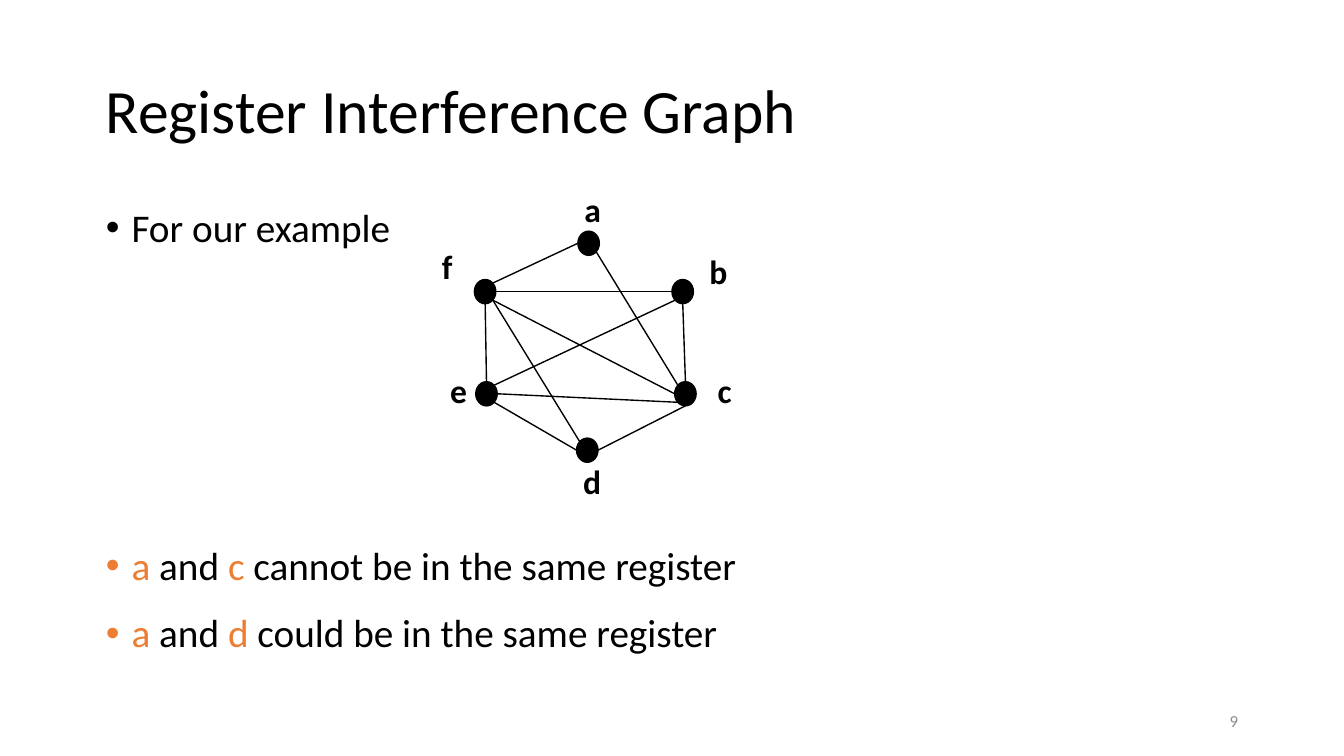
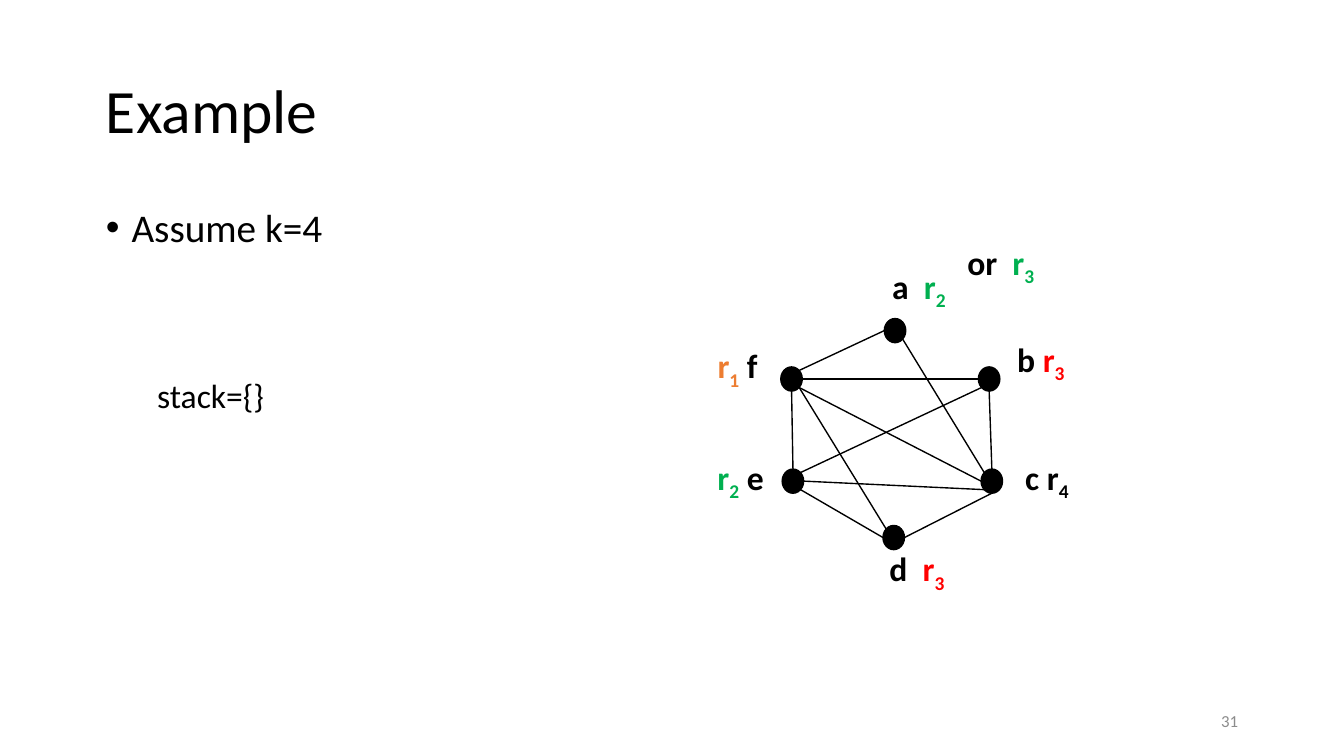
from math import cos, sin, radians

from lxml import etree
from pptx import Presentation
from pptx.dml.color import RGBColor
from pptx.enum.shapes import MSO_CONNECTOR as CONN, MSO_SHAPE as SHAPE
from pptx.enum.text import MSO_ANCHOR as ANCHOR, PP_ALIGN as ALIGN
from pptx.oxml.ns import qn
from pptx.util import Inches, Pt

FONT = "Calibri"
SLIDE_W = 10
SLIDE_H = SLIDE_W * 9 / 16
COLORS = {
    "black": "000000",
    "gray": "8C8C8C",
    "orange": "ED7D31",
    "green": "00B050",
    "red": "FF0000",
}

NODE_W, NODE_H = 0.16, 0.18
NODES = {
    "a": (4.30, 1.72),
    "b": (5.00, 2.08),
    "c": (5.02, 2.84),
    "d": (4.29, 3.26),
    "e": (3.54, 2.84),
    "f": (3.53, 2.08),
}
ANGLES = {"E": 0, "SE": 45, "S": 90, "SW": 135, "W": 180, "NW": 225, "N": 270, "NE": 315}
EDGES = [
    ("a", "W", "f", "NE"),
    ("e", "N", "f", "S"),
    ("d", "NW", "f", "SE"),
    ("d", "W", "e", "SE"),
    ("a", "SE", "c", "NW"),
    ("b", "W", "f", "E"),
    ("c", "W", "f", "SE"),
    ("b", "S", "c", "N"),
    ("c", "SW", "e", "E"),
    ("c", "S", "d", "E"),
    ("b", "SW", "e", "NE"),
]
WIDE_SPACE = (" ", "black", {"spc": "400"})


def rgb(name):
    return RGBColor.from_string(COLORS[name])


def register(number, color):
    return [("r", color), (str(number), color, {"baseline": "-25000"})]


def add_runs(p, runs, size, bold=False):
    for text, color, *extra in runs:
        r = p.add_run()
        r.text = text
        r.font.name = FONT
        r.font.size = Pt(size)
        r.font.bold = bold
        r.font.color.rgb = rgb(color)
        for attrs in extra:
            for key, value in attrs.items():
                r.font._element.set(key, value)


def add_text_frame(s, box, anchor=ANCHOR.TOP):
    tf = s.shapes.add_textbox(*map(Inches, box)).text_frame
    tf.word_wrap = True
    tf.vertical_anchor = anchor
    tf.margin_left = tf.margin_right = Inches(0.1)
    tf.margin_top = tf.margin_bottom = Inches(0.05)
    return tf


def add_base_slide(prs, title, number):
    s = prs.slides.add_slide(prs.slide_layouts[6])
    p = add_text_frame(s, (0.69, 0.3, 8.62, 1.09), ANCHOR.MIDDLE).paragraphs[0]
    p.line_spacing = 0.9
    add_runs(p, [(title, "black")], 33)
    p = add_text_frame(s, (7.06, 5.21, 2.25, 0.3), ANCHOR.MIDDLE).paragraphs[0]
    p.alignment = ALIGN.RIGHT
    add_runs(p, [(str(number), "gray")], 9)
    return s


def add_body(s):
    return add_text_frame(s, (0.69, 1.5, 8.62, 3.57))


def add_body_line(tf, runs, before=0, size=21, left=0.19, bullet=True):
    p = tf.paragraphs[0] if not tf.paragraphs[0].runs else tf.add_paragraph()
    pPr = p._p.get_or_add_pPr()
    pPr.set("marL", str(Inches(left)))
    pPr.set("indent", str(Inches(-left if bullet else 0)))
    if bullet:
        etree.SubElement(pPr, qn("a:buFont")).set("typeface", "Arial")
        etree.SubElement(pPr, qn("a:buChar")).set("char", "•")
    p.line_spacing = 0.9
    if before:
        p.space_before = Pt(before)
    p.space_after = Pt(6)
    add_runs(p, runs, size)


def add_label(s, left, top, width, runs):
    tf = add_text_frame(s, (left, top, width, 0.4))
    add_runs(tf.paragraphs[0], runs, 18, bold=True)


def add_node(s, left, top):
    sp = s.shapes.add_shape(SHAPE.OVAL, *map(Inches, (left, top, NODE_W, NODE_H)))
    sp.shadow.inherit = False
    sp.fill.solid()
    sp.fill.fore_color.rgb = rgb("black")
    sp.line.color.rgb = rgb("black")
    sp.line.width = Pt(0.75)


def rim_point(corner, side):
    angle = radians(ANGLES[side])
    x = corner[0] + NODE_W / 2 * (1 + cos(angle))
    y = corner[1] + NODE_H / 2 * (1 + sin(angle))
    return Inches(x), Inches(y)


def add_edge(s, start, end):
    line = s.shapes.add_connector(CONN.STRAIGHT, *start, *end)
    line.line.color.rgb = rgb("black")
    line.line.width = Pt(0.75)
    etree.SubElement(line._element.spPr, qn("a:effectLst"))


def add_graph(s, labels, dx=0, dy=0):
    corners = {name: (x + dx, y + dy) for name, (x, y) in NODES.items()}
    for corner in corners.values():
        add_node(s, *corner)
    for first, side1, second, side2 in EDGES:
        add_edge(s, rim_point(corners[first], side1), rim_point(corners[second], side2))
    for label in labels:
        add_label(s, *label)


def build_interference_slide(prs):
    s = add_base_slide(prs, "Register Interference Graph", 9)
    tf = add_body(s)
    add_body_line(tf, [("For our example", "black")])
    for other, verb, before in (("c", "cannot", 152.5), ("d", "could", 7.5)):
        add_body_line(tf, [
            ("a", "orange"),
            (" and ", "black"),
            (other, "orange"),
            (f" {verb} be in the same register", "black"),
        ], before)
    spots = {
        "a": (4.25, 1.36),
        "b": (5.18, 1.82),
        "c": (5.24, 2.70),
        "d": (4.24, 3.38),
        "e": (3.25, 2.70),
        "f": (3.19, 1.78),
    }
    add_graph(s, [(x, y, 0.41, [(name, "black")]) for name, (x, y) in spots.items()])


def build_coloring_slide(prs):
    s = add_base_slide(prs, "Example", 31)
    tf = add_body(s)
    add_body_line(tf, [("Assume k=4", "black")])
    add_body_line(tf, [("stack={}", "black")], before=63, size=18, left=0.38, bullet=False)
    add_graph(s, [
        (6.54, 1.93, 0.74, [("a", "black"), WIDE_SPACE, *register(2, "green")]),
        (7.10, 1.75, 0.74, [("or", "black"), WIDE_SPACE, *register(3, "green")]),
        (7.47, 2.47, 0.64, [("b ", "black"), *register(3, "red")]),
        (7.53, 3.35, 0.76, [("c ", "black"), *register(4, "black")]),
        (6.52, 4.03, 0.76, [("d", "black"), WIDE_SPACE, *register(3, "red")]),
        (5.24, 3.35, 0.63, [*register(2, "green"), (" e", "black")]),
        (5.24, 2.52, 0.69, [*register(1, "orange"), (" f", "black")]),
    ], dx=2.28, dy=0.65)


def main():
    prs = Presentation()
    prs.slide_width = Inches(SLIDE_W)
    prs.slide_height = Inches(SLIDE_H)
    build_interference_slide(prs)
    build_coloring_slide(prs)
    prs.save("out.pptx")


if __name__ == "__main__":
    main()
